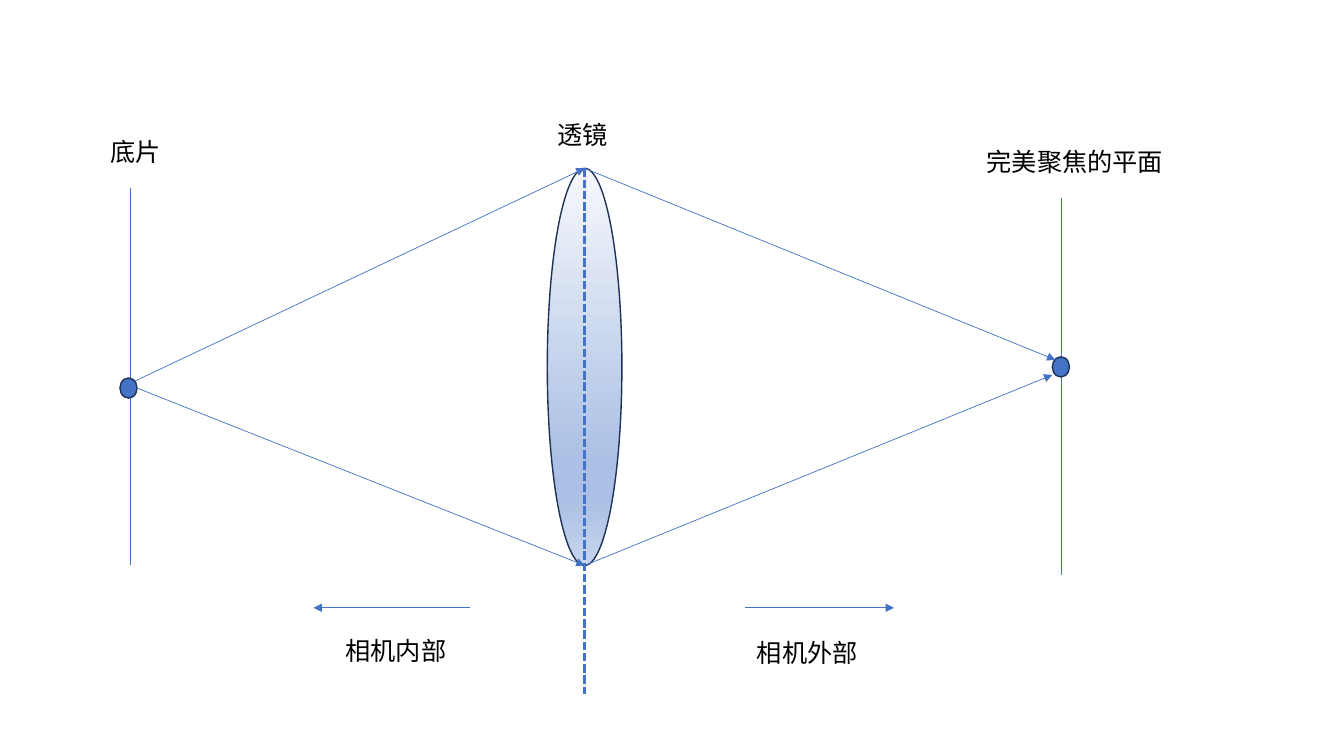
from copy import deepcopy

from pptx import Presentation
from pptx.dml.color import RGBColor
from pptx.enum.dml import MSO_LINE
from pptx.enum.shapes import MSO_CONNECTOR, MSO_SHAPE
from pptx.enum.text import MSO_AUTO_SIZE
from pptx.oxml.ns import qn
from pptx.util import Emu, Pt

STRAIGHT = MSO_CONNECTOR.STRAIGHT
OVAL = MSO_SHAPE.OVAL
SYS_DASH = MSO_LINE.SQUARE_DOT
FIT_TEXT = MSO_AUTO_SIZE.SHAPE_TO_FIT_TEXT
BLANK = 6


def px(n):
    """100 px to the inch."""
    return Emu(n * 9144)


def rgb(color):
    return RGBColor.from_string(color)


class Diagram:
    FONT = "Noto Sans CJK SC"
    BLUE, OUTLINE, TEXT = "4472C4", "1E3256", "000000"

    def __init__(self, prs):
        self.s = prs.slides.add_slide(prs.slide_layouts[BLANK])

    def ellipse(self, x, y, w, h):
        sp = self.s.shapes.add_shape(OVAL, px(x), px(y), px(w), px(h))
        sp.shadow.inherit = False
        sp.fill.solid()
        sp.fill.fore_color.rgb = rgb(self.BLUE)
        sp.line.color.rgb = rgb(self.OUTLINE)
        sp.line.width = Pt(1)
        return sp

    def gradient(self, sp, stops):
        """Fill from top to bottom with (percent, colour) stops."""
        sp.fill.gradient()
        sp.fill.gradient_angle = 270
        gs_list = sp._element.spPr.find(qn("a:gradFill")).find(qn("a:gsLst"))
        while len(gs_list) < len(stops):
            gs_list.append(deepcopy(gs_list[0]))
        for stop, (percent, color) in zip(sp.fill.gradient_stops, stops):
            stop.position = percent / 100
            stop.color.rgb = rgb(color)

    def line(self, start, end, width=0.5, dash=None, arrow=False):
        c = self.s.shapes.add_connector(STRAIGHT, *map(px, start + end))
        c.line.color.rgb = rgb(self.BLUE)
        c.line.width = Pt(width)
        if dash:
            c.line.dash_style = dash
        spPr = c._element.spPr
        if arrow:
            ln = spPr.find(qn("a:ln"))
            ln.append(ln.makeelement(qn("a:tailEnd"), {"type": "triangle"}))
        spPr.append(spPr.makeelement(qn("a:effectLst"), {}))

    def arrow(self, start, end):
        self.line(start, end, arrow=True)

    def label(self, text, x, y, w, wrap=True):
        tf = self.s.shapes.add_textbox(px(x), px(y), px(w), px(40)).text_frame
        tf.word_wrap = wrap
        tf.auto_size = FIT_TEXT
        tf.text = text
        r = tf.paragraphs[0].runs[0]
        r.font.size = Pt(18)
        r.font.name = self.FONT
        r.font.color.rgb = rgb(self.TEXT)
        rPr = r.font._element
        rPr.append(rPr.makeelement(qn("a:ea"), {"typeface": self.FONT}))


def main():
    prs = Presentation()
    prs.slide_width, prs.slide_height = Emu(12192000), Emu(6858000)
    d = Diagram(prs)
    lens_top, lens_bottom = (580, 167), (580, 561)

    # Lens
    lens = d.ellipse(543, 167, 74, 394)
    d.gradient(lens, [(0, "F6F8FC"), (74, "ABC0E4"),
                      (83, "ABC0E4"), (100, "C7D5ED")])

    # Film and focal plane, each with its point
    for plane_x, plane_y, dot_x, dot_y in ((129, 187, 119, 375),
                                           (1053, 196, 1044, 354)):
        d.line((plane_x, plane_y), (plane_x, plane_y + 374))
        d.ellipse(dot_x, dot_y, 17, 20)

    # Light rays through the lens edges
    d.arrow((134, 378), lens_top)
    d.arrow((136, 385), lens_bottom)
    d.arrow(lens_top, (1047, 357))
    d.arrow(lens_bottom, (1044, 372))

    # Lens axis and the two sides of the camera
    d.line(lens_top, (580, 689), width=2, dash=SYS_DASH)
    d.arrow((466, 603), (311, 603))
    d.arrow((739, 603), (887, 603))

    # Labels
    d.label("底片", 100, 130, 71, wrap=False)
    d.label("完美聚焦的平面", 969, 140, 197, wrap=False)
    d.label("透镜", 543, 113, 217)
    d.label("相机内部", 333, 625, 228)
    d.label("相机外部", 741, 627, 228)

    prs.save("out.pptx")


if __name__ == "__main__":
    main()
